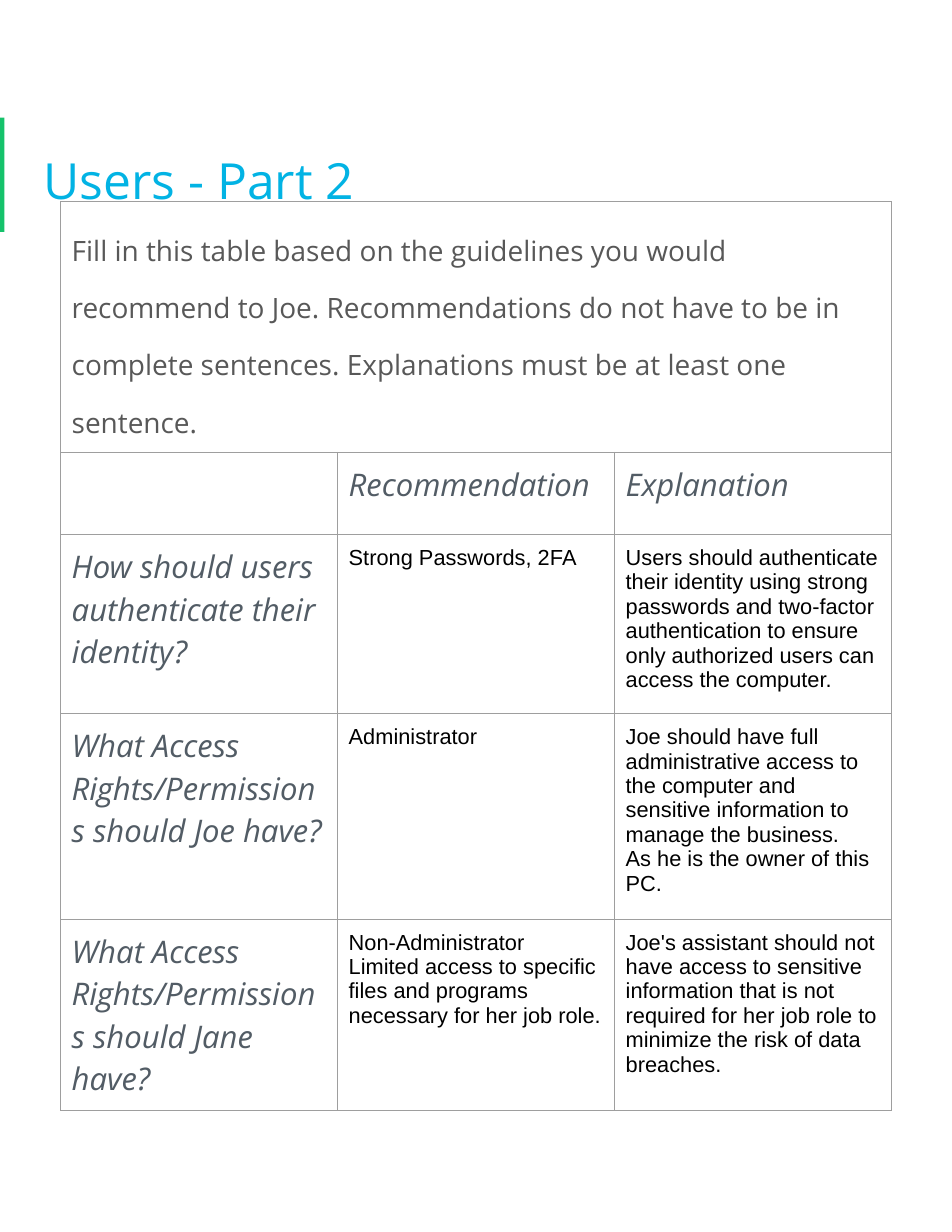
"""Build the "Users - Part 2" slide with its recommendation table."""
from lxml.etree import SubElement
from pptx import Presentation
from pptx.dml.color import RGBColor
from pptx.enum.shapes import MSO_SHAPE
from pptx.enum.text import MSO_ANCHOR
from pptx.oxml.ns import qn
from pptx.util import Inches, Pt

COLORS = {"bar": "15C26B", "title": "02B3E4", "intro": "585858",
          "label": "525C65", "answer": "000000", "border": "9E9E9E"}
FORMATS = {
    "title": {"name": "Open Sans", "size": Pt(32), "italic": False},
    "intro": {"name": "Open Sans", "size": Pt(18), "italic": False},
    "label": {"name": "Open Sans", "size": Pt(20), "italic": True},
    "answer": {"name": "Arial", "size": Pt(14), "italic": False},
}
INTRO = ("Fill in this table based on the guidelines you would recommend to Joe. "
         "Recommendations do not have to be in complete sentences. "
         "Explanations must be at least one sentence.")
ROWS = [
    (INTRO, "", ""),
    ("", "Recommendation", "Explanation"),
    ("How should users authenticate their identity?",
     "Strong Passwords, 2FA",
     "Users should authenticate their identity using strong passwords and "
     "two-factor authentication to ensure only authorized users can access the computer."),
    ("What Access Rights/Permissions should Joe have?",
     "Administrator",
     "Joe should have full administrative access to the computer and sensitive "
     "information to manage the business.\nAs he is the owner of this PC."),
    ("What Access Rights/Permissions should Jane have?",
     "Non-Administrator \vLimited access to specific files and programs "
     "necessary for her job role.",
     "Joe's assistant should not have access to sensitive information that is "
     "not required for her job role to minimize the risk of data breaches."),
]
ROW_HEIGHTS = [2.24, 0.73, 1.51, 1.73, 1.71]
TABLE_WIDTH = 7.42


def write(tf, text, role, spacing=None):
    tf.text = text
    for p in tf.paragraphs:
        p.line_spacing = spacing
        for r in p.runs:
            for key, value in FORMATS[role].items():
                setattr(r.font, key, value)
            r.font.bold = False
            r.font.color.rgb = RGBColor.from_string(COLORS[role])


def add_borders(cell):
    tcPr = cell._tc.get_or_add_tcPr()
    for i, side in enumerate(("a:lnL", "a:lnR", "a:lnT", "a:lnB")):
        ln = tcPr.makeelement(qn(side), {"w": str(Pt(0.75))})
        fill = SubElement(ln, qn("a:solidFill"))
        SubElement(fill, qn("a:srgbClr"), val=COLORS["border"])
        tcPr.insert(i, ln)


prs = Presentation()
prs.slide_width, prs.slide_height = Inches(8.5), Inches(11)
s = prs.slides.add_slide(prs.slide_layouts[6])

bar = s.shapes.add_shape(MSO_SHAPE.RECTANGLE, 0, Inches(1.05), Inches(0.04), Inches(1.02))
bar.shadow.inherit = False
bar.fill.solid()
bar.fill.fore_color.rgb = RGBColor.from_string(COLORS["bar"])
bar.line.fill.background()

title = s.shapes.add_textbox(Inches(0.29), Inches(0.95), Inches(7.92), Inches(1.22))
tf = title.text_frame
tf.word_wrap = True
tf.vertical_anchor = MSO_ANCHOR.MIDDLE
tf.margin_left = tf.margin_right = tf.margin_top = tf.margin_bottom = Inches(0.1)
write(tf, "Users - Part 2", "title", 1.15)

table = s.shapes.add_table(len(ROWS), 3, Inches(0.54), Inches(1.8),
                           Inches(TABLE_WIDTH), Inches(sum(ROW_HEIGHTS))).table
table.first_row = table.horz_banding = False
for col in table.columns:
    col.width = Inches(TABLE_WIDTH / 3)
table.cell(0, 0).merge(table.cell(0, 2))

for i, (texts, height) in enumerate(zip(ROWS, ROW_HEIGHTS)):
    table.rows[i].height = Inches(height)
    for j, text in enumerate(texts):
        cell = table.cell(i, j)
        cell.margin_left = cell.margin_right = Inches(0.1)
        cell.margin_top = cell.margin_bottom = Inches(0.1)
        cell.vertical_anchor = MSO_ANCHOR.TOP if i else MSO_ANCHOR.MIDDLE
        cell.fill.background()
        add_borders(cell)
        role = "intro" if i == 0 else "label" if i == 1 or j == 0 else "answer"
        if text:
            write(cell.text_frame, text, role, None if i else 1.5)

prs.save("out.pptx")
